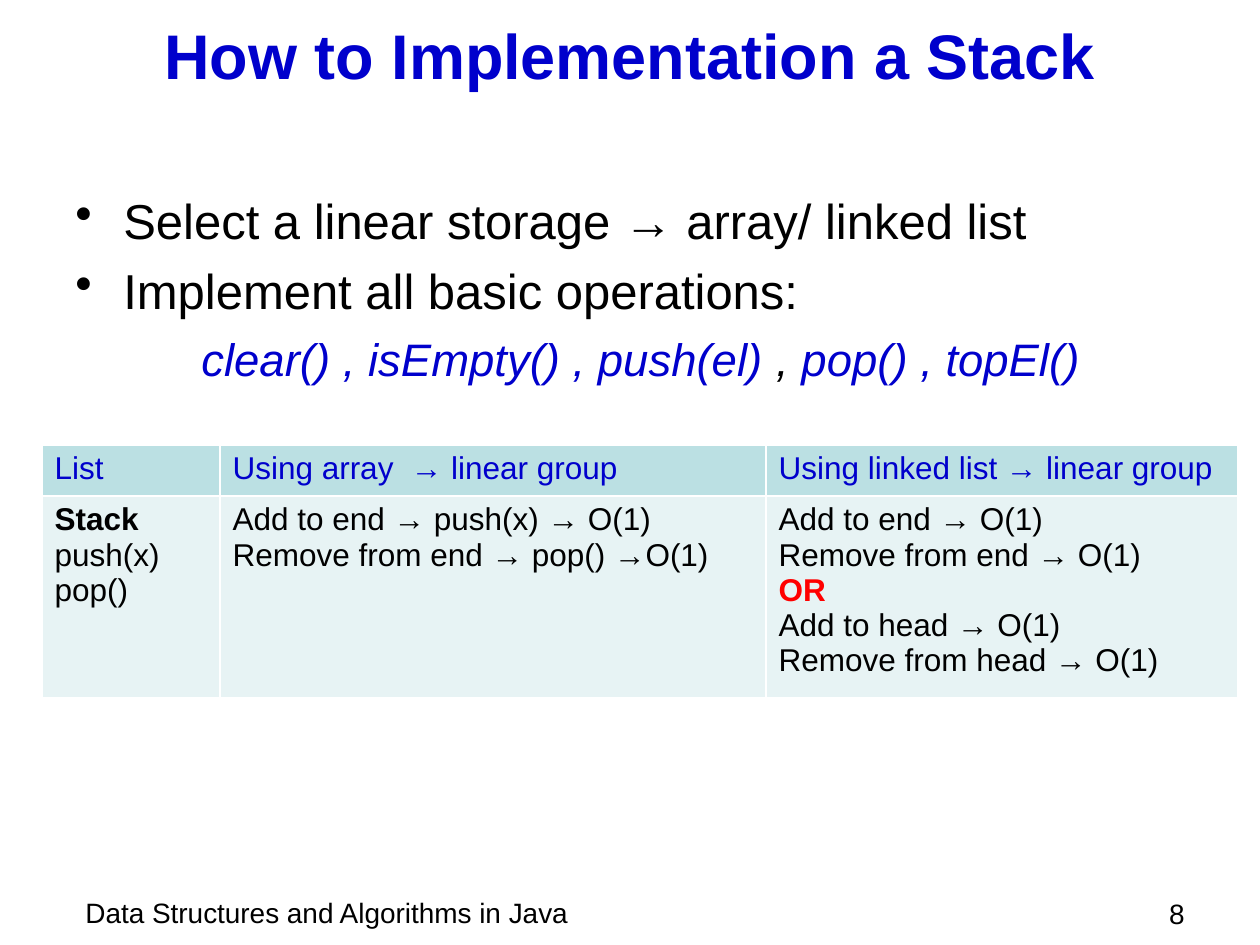
import pptx
import pptx.dml.color
import pptx.enum.text
import pptx.oxml
import pptx.oxml.ns
import pptx.util

EMU_PER_PX = 914400 // 126
FONT = "Arial"
BLACK, BLUE, RED, WHITE = "000000", "0000CC", "FF0000", "FFFFFF"
HEADER_FILL, BODY_FILL = "BBE0E3", "E7F3F4"
ALIGN = pptx.enum.text.PP_ALIGN
ANCHOR = pptx.enum.text.MSO_ANCHOR

# A paragraph is a list of (text, font changes) spans.
TITLE = [[("How to Implementation a Stack", {"bold": True})]]
BULLETS = [
    [("Select a linear storage → array/ linked list", {})],
    [("Implement all basic operations:", {})],
]
OPERATIONS = [
    ("clear() , isEmpty() , push(el)", {"color": BLUE}),
    (" , ", {}),
    ("pop() , topEl()", {"color": BLUE}),
]
FOOTER = [[("Data Structures and Algorithms in Java", {})]]
PAGE_NUMBER = [[("8", {})]]

COLUMN_WIDTHS = [178, 546, 472]
ROW_HEIGHTS = [51, 188]
HEADER = ["List", "Using array  → linear group", "Using linked list → linear group"]
STACK_ROW = [
    ["Stack", "push(x)", "pop()"],
    ["Add to end → push(x) → O(1)", "Remove from end → pop() →O(1)"],
    ["Add to end → O(1)", "Remove from end → O(1)", "OR",
     "Add to head → O(1)", "Remove from head → O(1)"],
]
EMPHASIS = {"Stack": {"bold": True}, "OR": {"bold": True, "color": RED}}


def px(length):
    return pptx.util.Emu(length * EMU_PER_PX)


def rgb(value):
    return pptx.dml.color.RGBColor.from_string(value)


def add_spans(para, spans, **base):
    for text, changes in spans:
        span = para.add_run()
        span.text = text
        style = {"name": FONT, "color": BLACK, **base, **changes}
        span.font.color.rgb = rgb(style.pop("color"))
        for key, value in style.items():
            setattr(span.font, key, value)


def fill_text(frame, paragraphs, align=ALIGN.LEFT, **base):
    for index, spans in enumerate(paragraphs):
        para = frame.paragraphs[0] if index == 0 else frame.add_paragraph()
        para.alignment = align
        add_spans(para, spans, **base)


def add_box(page, left, top, width, height, paragraphs, anchor=ANCHOR.TOP, **text_format):
    box = page.shapes.add_textbox(px(left), px(top), px(width), px(height))
    frame = box.text_frame
    frame.word_wrap = True
    frame.vertical_anchor = anchor
    fill_text(frame, paragraphs, **text_format)
    return frame


def set_indent(para, margin, hanging=0, bullet=None):
    properties = para._p.get_or_add_pPr()
    properties.set("marL", str(px(margin)))
    properties.set("indent", str(px(-hanging)))
    if bullet:
        mark = pptx.oxml.parse_xml(
            f'<a:buChar {pptx.oxml.ns.nsdecls("a")} char="{bullet}"/>')
        properties.append(mark)


def set_borders(cell, widths):
    """Draw white cell edges; widths maps an edge letter to points."""
    properties = cell._tc.get_or_add_tcPr()
    for position, edge in enumerate("LRTB"):
        line = pptx.oxml.parse_xml(
            f'<a:ln{edge} {pptx.oxml.ns.nsdecls("a")} w="{pptx.util.Pt(widths[edge])}">'
            f'<a:solidFill><a:srgbClr val="{WHITE}"/></a:solidFill></a:ln{edge}>')
        properties.insert(position, line)


def add_body(page):
    frame = add_box(page, 63, 184, 1134, 220, BULLETS, size=pptx.util.Pt(28))
    for para in frame.paragraphs:
        set_indent(para, 48, 48, "•")
    operations = frame.add_paragraph()
    set_indent(operations, 126)
    add_spans(operations, OPERATIONS, size=pptx.util.Pt(26), italic=True)
    for para in frame.paragraphs[1:]:
        para.space_before = pptx.util.Pt(6.5)


def add_stack_table(page):
    rows = [[[text] for text in HEADER], STACK_ROW]
    table = page.shapes.add_table(
        len(rows), len(HEADER), px(42), px(445),
        px(sum(COLUMN_WIDTHS)), px(sum(ROW_HEIGHTS))).table
    for column, width in zip(table.columns, COLUMN_WIDTHS):
        column.width = px(width)
    for row, height in zip(table.rows, ROW_HEIGHTS):
        row.height = px(height)
    row_styles = [(HEADER_FILL, BLUE), (BODY_FILL, BLACK)]
    for row, texts, (fill, color) in zip(table.rows, rows, row_styles):
        for cell, lines in zip(row.cells, texts):
            cell.fill.solid()
            cell.fill.fore_color.rgb = rgb(fill)
            set_borders(cell, dict.fromkeys("LRTB", 1))
            paragraphs = [[(line, EMPHASIS.get(line, {}))] for line in lines]
            fill_text(cell.text_frame, paragraphs,
                      size=pptx.util.Pt(18), color=color, bold=False)


def main():
    deck = pptx.Presentation()
    deck.slide_width, deck.slide_height = px(1260), px(945)
    page = deck.slides.add_slide(deck.slide_layouts[6])
    small = pptx.util.Pt(16)
    add_box(page, 73, 889, 714, 46, FOOTER, size=small)
    add_box(page, 63, 10, 1134, 88, TITLE, anchor=ANCHOR.MIDDLE,
            align=ALIGN.CENTER, size=pptx.util.Pt(36), color=BLUE)
    add_body(page)
    add_box(page, 1113, 890, 84, 44, PAGE_NUMBER, align=ALIGN.RIGHT, size=small)
    add_stack_table(page)
    deck.save("out.pptx")


if __name__ == "__main__":
    main()
